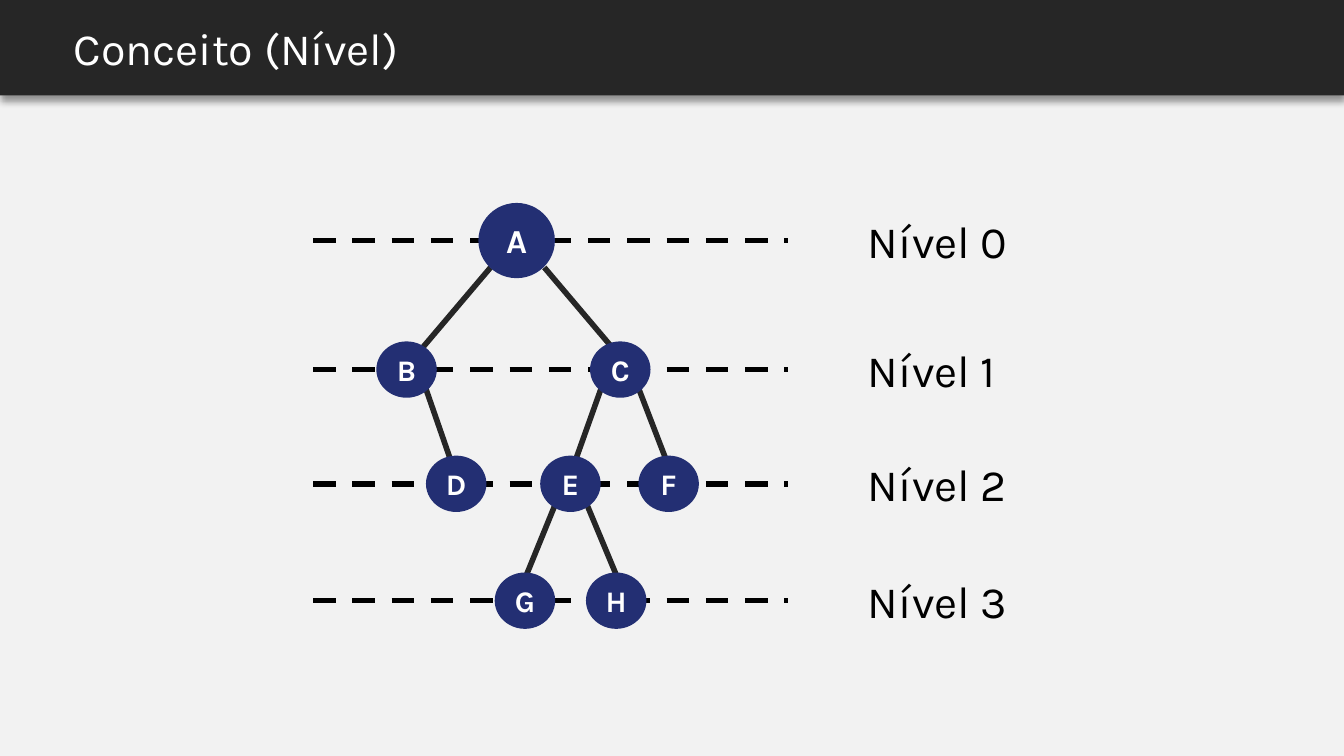
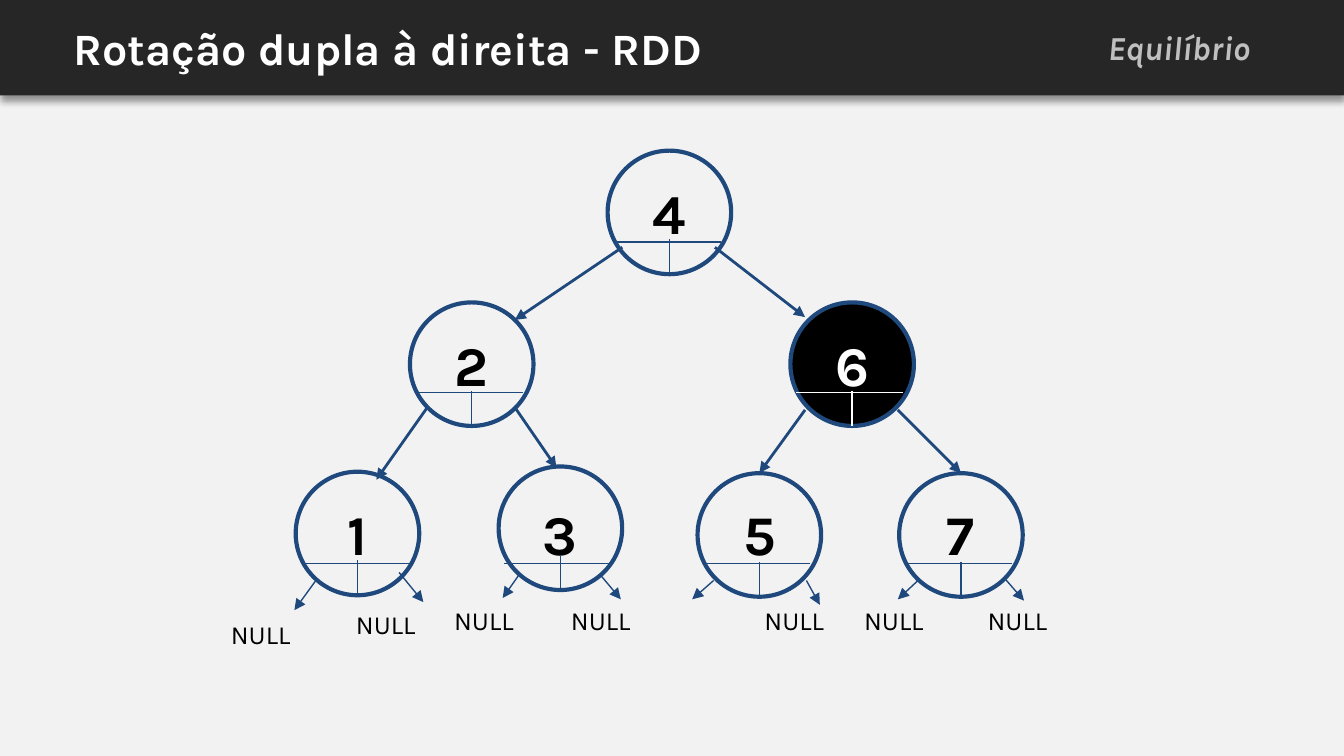
from pptx import Presentation
from pptx.dml.color import RGBColor
from pptx.enum.dml import MSO_LINE
from pptx.enum.shapes import MSO_CONNECTOR, MSO_SHAPE
from pptx.enum.text import MSO_ANCHOR, PP_ALIGN
from pptx.oxml.ns import qn
from pptx.oxml.xmlchemy import OxmlElement
from pptx.util import Pt

BLACK = RGBColor(0x00, 0x00, 0x00)
WHITE = RGBColor(0xFF, 0xFF, 0xFF)
PAPER = RGBColor(0xF2, 0xF2, 0xF2)
CHARCOAL = RGBColor(0x26, 0x26, 0x26)
SILVER = RGBColor(0xBF, 0xBF, 0xBF)
NAVY = RGBColor(0x23, 0x2F, 0x73)
BLUE = RGBColor(0x1F, 0x49, 0x7D)

ELLIPSE, RECTANGLE = MSO_SHAPE.OVAL, MSO_SHAPE.RECTANGLE
STRAIGHT, DASH = MSO_CONNECTOR.STRAIGHT, MSO_LINE.DASH
LEFT, CENTER, RIGHT = PP_ALIGN.LEFT, PP_ALIGN.CENTER, PP_ALIGN.RIGHT
TOP, MIDDLE = MSO_ANCHOR.TOP, MSO_ANCHOR.MIDDLE

SLIDE_WIDTH, SLIDE_HEIGHT, BAND_HEIGHT = 720, 405, 51.2

TITLE = {"size": Pt(24)}
BOLD_TITLE = {"size": Pt(24), "bold": True}
SECTION = {"size": Pt(18), "bold": True, "italic": True}
ROOT_LETTER = {"size": Pt(18), "bold": True}
LETTER = {"size": Pt(16), "bold": True}
LEVEL_LABEL = {"size": Pt(24)}
DIGIT = {"size": Pt(30), "bold": True}
NULL_LABEL = {"size": Pt(14)}

LEVEL_Y = (128.9, 198, 259.2, 321.8)
LETTER_NODES = (
    ("A", 276.8, 0), ("B", 217.8, 1), ("C", 332.3, 1), ("D", 244.4, 2),
    ("E", 305.6, 2), ("F", 358.2, 2), ("G", 281.2, 3), ("H", 330.1, 3),
)
BRANCHES = (
    (262.8, 143.3, 218.9, 195.1), (291.6, 143.3, 335.5, 195.1),
    (325.4, 198.7, 304.6, 257), (339.1, 200.2, 360.7, 256.3),
    (224.6, 198, 244.8, 256.3), (300.2, 263.5, 277.9, 318.2),
    (311, 262.1, 334.1, 317.5),
)

CIRCLE = 66.2
ROWS = (
    (88.6, 129.6, (("4", 358.6, 113.8),)),
    (170, 210.2, (("2", 252.7, 195.1), ("6", 456.5, 195.1))),
    (260.6, 302, (("1", 191.5, 285.8), ("3", 300.2, 283),
                  ("5", 406.8, 286.6), ("7", 514.8, 286.6))),
)
HIGHLIGHTED = "6"
CHILD_ARROWS = (
    (383, 132.5, 431.3, 169.9), (333.4, 132.5, 275.8, 171.4),
    (275.8, 218.2, 298.1, 250.6), (229, 218.2, 201.6, 257),
    (481, 219.6, 514.8, 253.4), (431.3, 219.6, 406.8, 253.4),
)
NULL_ARROWS = (
    (169.2, 311, 157.7, 326.9), (213.8, 306.7, 226.8, 322.6),
    (277.9, 308.2, 269.3, 320.4), (321.8, 308.2, 332.6, 321.1),
    (382.3, 311, 370.8, 321.1), (432, 311, 439.2, 324),
    (491.8, 311, 481, 321.1), (538.6, 310.3, 548.6, 321.8),
)
NULL_PLACES = (
    (116.6, 324), (183.6, 319), (236.2, 316.8), (298.8, 316.8),
    (402.5, 316.8), (455.8, 316.8), (522, 316.8),
)


def write_text(shape, text, style, color, align=LEFT, anchor=TOP, inset=7.2, wrap=True):
    """Fill a shape with one styled paragraph."""
    frame = shape.text_frame
    margins = dict.fromkeys(
        ("margin_left", "margin_top", "margin_right", "margin_bottom"), Pt(inset))
    for name, value in {**margins, "word_wrap": wrap, "vertical_anchor": anchor}.items():
        setattr(frame, name, value)
    paragraph = frame.paragraphs[0]
    paragraph.text = text
    paragraph.alignment = align
    for name, value in {"name": "Karla", **style}.items():
        setattr(paragraph.font, name, value)
    paragraph.font.color.rgb = color


def add_text(slide, box, text, style, color=BLACK, **layout):
    """Add a text box at left, top, width, height."""
    shape = slide.shapes.add_textbox(*map(Pt, box))
    write_text(shape, text, style, color, **layout)


def add_shape(slide, kind, box, fill=None, outline=None):
    """Add a flat shape with optional fill and outline colours."""
    shape = slide.shapes.add_shape(kind, *map(Pt, box))
    shape.shadow.inherit = False
    if fill is None:
        shape.fill.background()
    else:
        shape.fill.solid()
        shape.fill.fore_color.rgb = fill
    if outline is None:
        shape.line.fill.background()
    else:
        shape.line.color.rgb = outline
        shape.line.width = Pt(2.25)
    return shape


def add_line(slide, ends, color, width, dash=None, arrow=False):
    """Add a straight line, optionally dashed or with an arrowhead."""
    connector = slide.shapes.add_connector(STRAIGHT, *map(Pt, ends))
    connector.line.color.rgb = color
    connector.line.width = Pt(width)
    if dash is not None:
        connector.line.dash_style = dash
    if arrow:
        head = OxmlElement("a:tailEnd")
        head.set("type", "triangle")
        connector.line._get_or_add_ln().append(head)
    connector._element.spPr.append(OxmlElement("a:effectLst"))


def add_slide(presentation):
    """Add a blank slide with the paper background."""
    slide = presentation.slides.add_slide(presentation.slide_layouts[6])
    slide.background.fill.solid()
    slide.background.fill.fore_color.rgb = PAPER
    return slide


def add_title_band(slide, title, style):
    """Add the dark title band with its soft shadow."""
    band = add_shape(slide, RECTANGLE, (0, 0, SLIDE_WIDTH, BAND_HEIGHT), CHARCOAL)
    shadow = OxmlElement("a:outerShdw")
    for name, value in {"blurRad": Pt(4), "dist": Pt(3), "dir": 5400000,
                        "algn": "t", "rotWithShape": 0}.items():
        shadow.set(name, str(value))
    color = OxmlElement("a:srgbClr")
    color.set("val", str(BLACK))
    alpha = OxmlElement("a:alpha")
    alpha.set("val", "40000")
    color.append(alpha)
    shadow.append(color)
    band._element.spPr.find(qn("a:effectLst")).append(shadow)
    add_text(slide, (32.4, 0, 651.6, BAND_HEIGHT), title, style, WHITE, anchor=MIDDLE)


def add_letter_node(slide, letter, x, level):
    """Add a filled tree node centred on its level."""
    width, height, style = (41, 40.3, ROOT_LETTER) if level == 0 else (32.4, 30.2, LETTER)
    box = (x - width / 2, LEVEL_Y[level] - height / 2, width, height)
    node = add_shape(slide, ELLIPSE, box, NAVY)
    write_text(node, letter, style, WHITE, CENTER, MIDDLE, inset=0, wrap=False)


def add_digit_node(slide, digit, x, y, digit_top, bar_y):
    """Add a circle with its value above two pointer cells."""
    radius = CIRCLE / 2
    fill, ink, rule = (BLACK, WHITE, WHITE) if digit == HIGHLIGHTED else (None, BLACK, BLUE)
    add_shape(slide, ELLIPSE, (x - radius, y - radius, CIRCLE, CIRCLE), fill, BLUE)
    add_text(slide, (x - 22.3, digit_top, 44.6, 38.2), digit, DIGIT, ink, align=CENTER)
    add_line(slide, (x, y + radius, x, y + 14.4), rule, 0.75)
    add_line(slide, (x + 27.4, bar_y, x - 30.2, bar_y), rule, 0.75)


def build_levels(presentation):
    """Build the slide on tree levels."""
    slide = add_slide(presentation)
    for level, y in enumerate(LEVEL_Y):
        add_line(slide, (167.8, y, 421.9, y), BLACK, 3, dash=DASH)
        add_text(slide, (457.9, y - 18.7, 94.3, 37.4), f"Nível {level}",
                 LEVEL_LABEL, anchor=MIDDLE)
    for branch in BRANCHES:
        add_line(slide, branch, CHARCOAL, 3)
    for node in LETTER_NODES:
        add_letter_node(slide, *node)
    add_title_band(slide, "Conceito (Nível)", TITLE)


def build_rotation(presentation):
    """Build the slide on the double right rotation."""
    slide = add_slide(presentation)
    add_title_band(slide, "Rotação dupla à direita - RDD", BOLD_TITLE)
    add_text(slide, (488.9, 10.8, 187.9, 28.8), "Equilíbrio", SECTION, SILVER,
             align=RIGHT, inset=3.6 * 2, anchor=MIDDLE)
    for digit_top, bar_y, nodes in ROWS:
        for node in nodes:
            add_digit_node(slide, *node, digit_top, bar_y)
    for arrows, width in ((CHILD_ARROWS, 1.5), (NULL_ARROWS, 0.75)):
        for ends in arrows:
            add_line(slide, ends, BLUE, width, arrow=True)
    for place in NULL_PLACES:
        add_text(slide, (*place, 52.6, 18.7), "NULL", NULL_LABEL)


def main():
    """Build and save the presentation."""
    presentation = Presentation()
    presentation.slide_width = Pt(SLIDE_WIDTH)
    presentation.slide_height = Pt(SLIDE_HEIGHT)
    build_levels(presentation)
    build_rotation(presentation)
    presentation.save("out.pptx")


if __name__ == "__main__":
    main()
